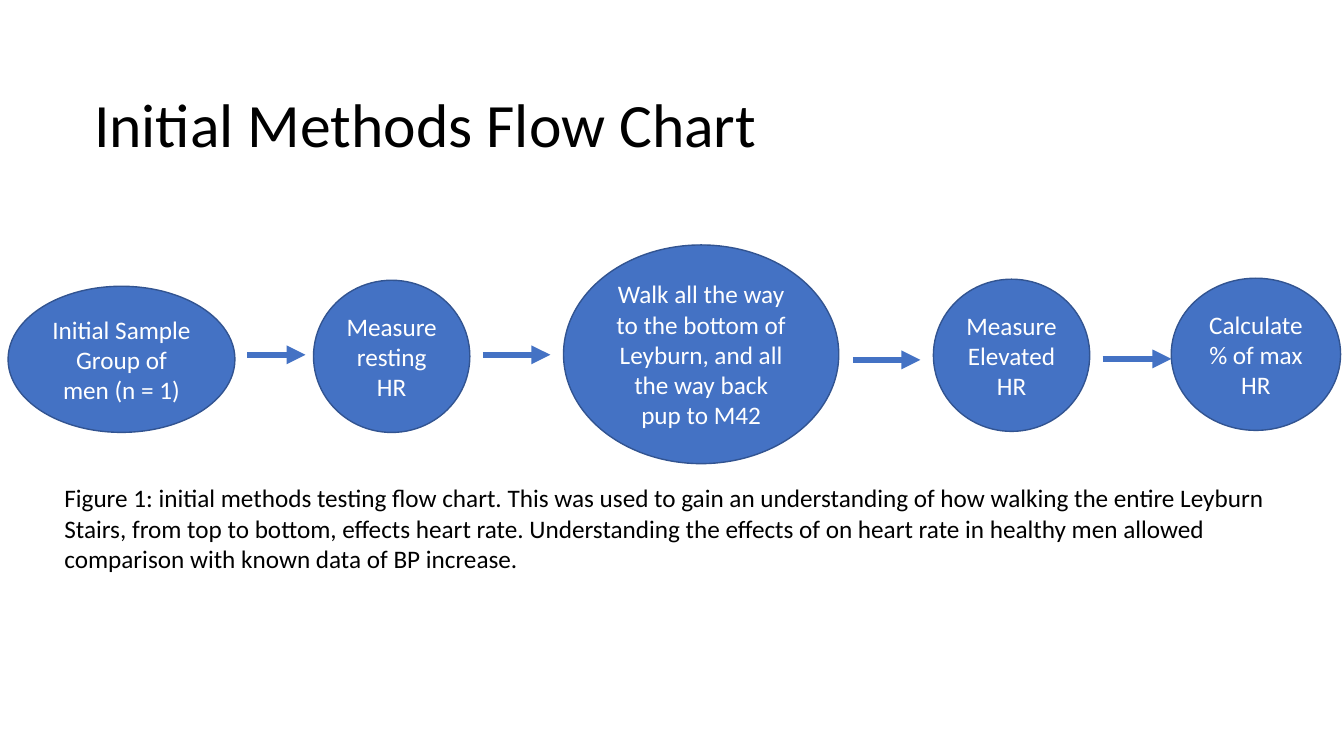
from lxml.etree import SubElement
from pptx import Presentation
from pptx.dml.color import RGBColor
from pptx.enum.shapes import MSO_CONNECTOR, MSO_SHAPE
from pptx.enum.text import MSO_ANCHOR as Anchor, MSO_AUTO_SIZE as AutoSize, PP_ALIGN as Align
from pptx.oxml.ns import qn
from pptx.util import Inches, Pt

WIDTH, HEIGHT = Inches(13.33), Inches(7.5)
FONT = "Calibri"
BLACK = RGBColor(0x00, 0x00, 0x00)
WHITE = RGBColor(0xFF, 0xFF, 0xFF)
BLUE = RGBColor(0x44, 0x72, 0xC4)
DARK_BLUE = RGBColor(0x32, 0x54, 0x91)

TITLE = "Initial Methods Flow Chart"
TITLE_AREA = (6.25, 7.2, 86.25, 19.33)
CAPTION = (
    "Figure 1: initial methods testing flow chart. This was used to gain an "
    "understanding of how walking the entire Leyburn\n"
    "Stairs, from top to bottom, effects heart rate. Understanding the effects of on "
    "heart rate in healthy men allowed comparison with known data of BP increase."
)
CAPTION_AREA = (4.05, 63.2, 92.7, 13.47)
STEPS = [
    ("Initial Sample Group of men (n = 1)", (0.6, 37.87, 16.88, 19.33)),
    ("Measure resting HR", (23.33, 37.07, 11.63, 20.13)),
    ("Walk all the way to the bottom of Leyburn, and all the way back pup to M42",
     (41.93, 32.4, 20.48, 28.93)),
    ("Measure Elevated HR", (69.45, 36.93, 11.63, 20.13)),
    ("Calculate % of max HR", (87.15, 36.8, 12.6, 20.13)),
]
ARROWS = [
    (18.38, 22.73, 46.93),
    (35.93, 40.95, 46.93),
    (63.45, 68.48, 47.6),
    (82.05, 87.15, 47.47),
]


def across(percent):
    """Return a share of the slide's width."""
    return int(WIDTH * percent / 100)


def down(percent):
    """Return a share of the slide's height."""
    return int(HEIGHT * percent / 100)


def area(left, top, width, height):
    """Turn percentages of the slide into a position and size."""
    return across(left), down(top), across(width), down(height)


def write(frame, wording, size, color, align=Align.LEFT, anchor=Anchor.MIDDLE):
    """Fill a text frame and format every run in it."""
    frame.text = wording
    frame.word_wrap = True
    frame.vertical_anchor = anchor
    for paragraph in frame.paragraphs:
        paragraph.alignment = align
        for run in paragraph.runs:
            run.font.name = FONT
            run.font.size = Pt(size)
            run.font.color.rgb = color


def set_title(slide):
    """Place and format the title placeholder."""
    title = slide.shapes.title
    title.left, title.top, title.width, title.height = area(*TITLE_AREA)
    write(title.text_frame, TITLE, 44, BLACK)
    title.text_frame.auto_size = AutoSize.NONE
    title.text_frame.paragraphs[0].line_spacing = 0.9


def add_step(slide, wording, place):
    """Draw one step of the method as an ellipse."""
    step = slide.shapes.add_shape(MSO_SHAPE.OVAL, *area(*place))
    step.shadow.inherit = False
    step.fill.solid()
    step.fill.fore_color.rgb = BLUE
    step.line.color.rgb = DARK_BLUE
    step.line.width = Pt(1)
    write(step.text_frame, wording, 18, WHITE, Align.CENTER)


def add_arrow(slide, start, end, level):
    """Draw a horizontal arrow between two steps."""
    arrow = slide.shapes.add_connector(
        MSO_CONNECTOR.STRAIGHT, across(start), down(level), across(end), down(level))
    arrow.line.color.rgb = BLUE
    arrow.line.width = Pt(4.5)
    SubElement(arrow.line._get_or_add_ln(), qn("a:tailEnd"), type="triangle")
    SubElement(arrow._element.spPr, qn("a:effectLst"))


def add_caption(slide):
    """Write the figure caption below the flow chart."""
    caption = slide.shapes.add_textbox(*area(*CAPTION_AREA))
    write(caption.text_frame, CAPTION, 18, BLACK, anchor=Anchor.TOP)
    caption.text_frame.auto_size = AutoSize.SHAPE_TO_FIT_TEXT


def main():
    """Build the flow chart slide and save it."""
    deck = Presentation()
    deck.slide_width, deck.slide_height = WIDTH, HEIGHT
    slide = deck.slides.add_slide(deck.slide_layouts[5])
    set_title(slide)
    for wording, place in STEPS:
        add_step(slide, wording, place)
    for start, end, level in ARROWS:
        add_arrow(slide, start, end, level)
    add_caption(slide)
    deck.save("out.pptx")


if __name__ == "__main__":
    main()
